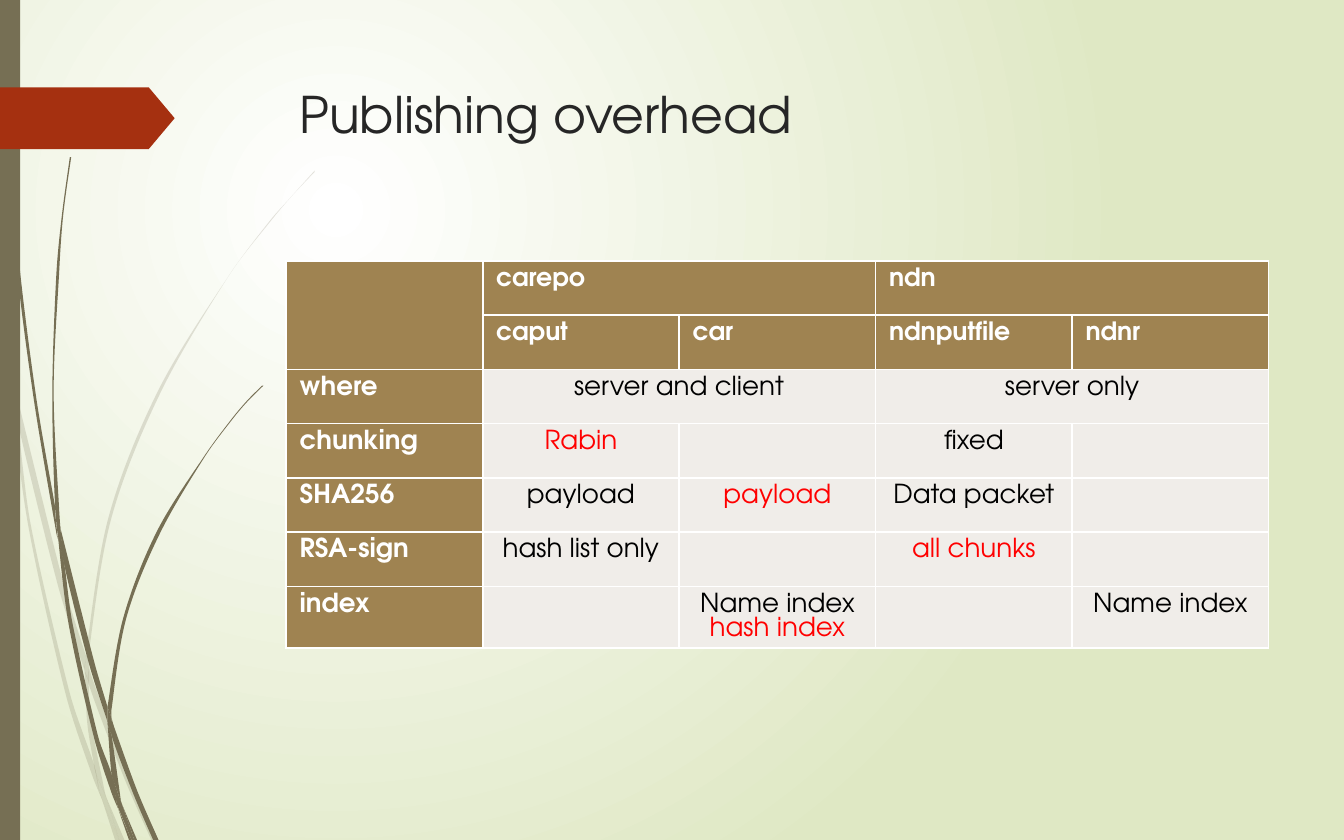
from lxml import etree
from pptx import Presentation
from pptx.dml.color import RGBColor
from pptx.enum.shapes import MSO_SHAPE
from pptx.enum.text import MSO_ANCHOR, PP_ALIGN
from pptx.oxml.ns import qn
from pptx.util import Inches, Pt

RECTANGLE = MSO_SHAPE.RECTANGLE
PENTAGON = MSO_SHAPE.PENTAGON
TOP = MSO_ANCHOR.TOP
LEFT, CENTER = PP_ALIGN.LEFT, PP_ALIGN.CENTER

FONT = "TeX Gyre Adventor"
OLIVE, RUST, TITLE_GREY = "766F54", "A53010", "262626"
HEADER_FILL, BODY_FILL = "9F8351", "F0EDE9"
WHITE, BLACK, RED = "FFFFFF", "000000", "FF0000"
PALE_GREEN = "DFE8C4"

PALE_BLADES = [
    ([(0.08, 2.92), (0.06, 2.68), (0, 2.35)], [(0, 2.49), (0.08, 2.87)]),
    ([(0.11, 2.88), (0.13, 3.13), (0.43, 4.35), (0.63, 4.99)],
     [(0.64, 4.88), (0.47, 4.33), (0.11, 2.88)]),
    ([(0.66, 4.96), (0.66, 5.09), (0.92, 5.78), (1.13, 6.26)],
     [(1.16, 6.26), (0.95, 5.76), (0.69, 5.06), (0.66, 4.96)]),
    ([(0.89, 6.26), (0.93, 6.26)], [(0.79, 5.93)]),
    ([(0.08, 2.92), (0.21, 3.91), (0.49, 5.17), (0.69, 5.78), (0.76, 5.95)],
     [(0.74, 5.89), (0.7, 5.69), (0.52, 5.16), (0.23, 3.91), (0.13, 3.13), (0.08, 2.92)]),
    ([(0.63, 4.99), (0.65, 5.38), (0.7, 5.69), (0.72, 5.77), (0.79, 5.93)],
     [(0.78, 5.89), (0.68, 5.38), (0.66, 5.09), (0.66, 5.07), (0.63, 4.99)]),
    ([(0.66, 4.96), (0.66, 4.86), (0.83, 3.85), (1.2, 2.91), (1.71, 2.04),
      (2.01, 1.65), (2.17, 1.46), (2.34, 1.28)],
     [(2.34, 1.27), (2.17, 1.46), (2.01, 1.64), (1.71, 2.04), (1.18, 2.9),
      (0.81, 3.84), (0.64, 4.86), (0.64, 4.88)]),
    ([(0.76, 5.95), (0.86, 6.26)], [(0.89, 6.26)]),
    ([(0.66, 5.09), (0.66, 4.96)], [(0.64, 4.88), (0.63, 4.99), (0.66, 5.07)]),
    ([(0.7, 5.69), (0.74, 5.89), (0.76, 5.95), (0.89, 6.26)],
     [(0.79, 5.93), (0.72, 5.77), (0.7, 5.69)]),
]
DARK_BLADES = [
    ([(0.03, 0), (0.02, 0)],
     [(0.03, 0.4), (0.05, 0.91), (0.12, 1.94), (0.25, 2.96), (0.42, 3.97), (0.43, 4.01)],
     [(0.41, 3.81), (0.41, 3.77), (0.27, 2.96), (0.14, 1.93), (0.06, 0.91),
      (0.03, 0.4), (0.03, 0)]),
    ([(0.45, 3.93), (0.48, 4.21), (0.66, 4.93), (0.8, 5.37)],
     [(0.8, 5.28), (0.8, 5.26), (0.7, 4.92), (0.45, 3.93)]),
    ([(0.83, 5.34), (0.83, 5.47), (0.99, 5.9), (1.14, 6.25)],
     [(1.18, 6.25), (1.02, 5.88), (0.85, 5.41), (0.83, 5.34)]),
    ([(0.43, 3.98), (0.51, 4.64), (0.7, 5.49), (0.83, 5.9), (0.88, 6.02)],
     [(0.87, 5.98), (0.83, 5.76), (0.73, 5.48), (0.54, 4.64), (0.48, 4.21), (0.43, 3.98)]),
    ([(0.45, 3.93), (0.44, 3.78), (0.4, 2.91), (0.44, 2.04), (0.47, 1.61), (0.53, 1.17)],
     [(0.52, 1.17), (0.46, 1.61), (0.42, 2.04), (0.39, 2.91), (0.41, 3.74), (0.45, 3.93)]),
    ([(1, 6.25), (1.02, 6.25)], [(0.91, 5.99)]),
    ([(0.41, 3.74), (0.41, 3.78), (0.43, 3.98), (0.48, 4.21)],
     [(0.45, 3.94), (0.45, 3.93), (0.41, 3.74)]),
    ([(0.83, 5.34), (0.83, 5.28), (0.94, 4.6), (1.19, 3.97), (1.53, 3.39),
      (1.73, 3.12), (1.84, 2.99), (1.96, 2.87)],
     [(1.95, 2.87), (1.84, 2.98), (1.73, 3.11), (1.53, 3.38), (1.17, 3.95),
      (0.92, 4.59), (0.8, 5.26)]),
    ([(0.88, 6.02), (0.96, 6.25)], [(0.98, 6.25)]),
    ([(0.8, 5.37), (0.83, 5.76), (0.87, 5.88), (0.91, 5.99)],
     [(0.9, 5.96), (0.83, 5.47), (0.81, 5.42), (0.8, 5.37)]),
    ([(0.83, 5.47), (0.83, 5.34)], [(0.8, 5.26), (0.8, 5.37), (0.81, 5.42)]),
    ([(0.83, 5.76), (0.87, 5.98), (0.88, 6.01), (0.98, 6.25)],
     [(1, 6.25), (0.91, 5.99), (0.87, 5.88), (0.83, 5.76)]),
]

HEADER_ROWS = [["", "carepo", "", "ndn", ""],
               ["", "caput", "car", "ndnputfile", "ndnr"]]
BODY_ROWS = [
    ["where", "server and client", "", "server only", ""],
    ["chunking", "Rabin", "", "fixed", ""],
    ["SHA256", "payload", "payload", "Data packet", ""],
    ["RSA-sign", "hash list only", "", "all chunks", ""],
    ["index", "", "Name index\nhash index", "", "Name index"],
]
MERGES = [((0, 0), (1, 0)), ((0, 1), (0, 2)), ((0, 3), (0, 4)),
          ((2, 1), (2, 2)), ((2, 3), (2, 4))]
RED_LINES = {(3, 1, 0), (4, 2, 0), (5, 3, 0), (6, 2, 1)}


def color(value):
    return RGBColor.from_string(value)


def paint(shape, value):
    shape.shadow.inherit = False
    shape.fill.solid()
    shape.fill.fore_color.rgb = color(value)
    shape.line.fill.background()


def style_text(paragraph, size, value, bold=False):
    for run in paragraph.runs:
        run.font.name = FONT
        run.font.size = Pt(size)
        run.font.bold = bold
        run.font.color.rgb = color(value)


def curve_points(edge):
    padded = [edge[0], *edge, edge[-1]]
    points = []
    for before, start, end, after in zip(padded, padded[1:], padded[2:], padded[3:]):
        reach = min(1, abs(end[1] - start[1]) / (abs(end[1] - before[1]) or 1) * 2)
        back = min(1, abs(end[1] - start[1]) / (abs(after[1] - start[1]) or 1) * 2)
        points += [[s + (e - b) * reach / 6 for b, s, e in zip(before, start, end)],
                   [e - (a - s) * back / 6 for s, e, a in zip(start, end, after)], end]
    return points


def add_blade(slide, left, top, edges, opacity):
    start = edges[0][0]
    points = curve_points(edges[0])
    for previous, edge in zip(edges, edges[1:]):
        points += curve_points([previous[-1], edge[0]]) + curve_points(edge)
    outline = [(left + Inches(x), top + Inches(y)) for x, y in [start, *points]]
    builder = slide.shapes.build_freeform(*outline[0], scale=1.0)
    builder.add_line_segments(outline[1:], close=True)
    blade = builder.convert_to_shape()
    segments = blade.element.findall(".//" + qn("a:lnTo"))
    for first, second, third in zip(segments[::3], segments[1::3], segments[2::3]):
        curve = etree.Element(qn("a:cubicBezTo"))
        first.addprevious(curve)
        for segment in (first, second, third):
            curve.append(segment[0])
            segment.getparent().remove(segment)
    paint(blade, OLIVE)
    if opacity < 100:
        tint = blade.element.spPr.find(".//" + qn("a:srgbClr"))
        etree.SubElement(tint, qn("a:alpha"), val=str(opacity * 1000))


def add_background(slide):
    fill = slide.background.fill
    fill.gradient()
    for stop, value in zip(fill.gradient_stops, (WHITE, PALE_GREEN)):
        stop.color.rgb = color(value)
    gradient = slide.element.find(".//" + qn("a:gradFill"))
    gradient.remove(gradient.find(qn("a:lin")))
    glow = etree.SubElement(gradient, qn("a:path"), {"path": "circle"})
    etree.SubElement(glow, qn("a:fillToRect"),
                     l="50000", t="50000", r="100000", b="100000")


def add_side_decoration(slide, left, top, height):
    for blades, opacity in ((PALE_BLADES, 20), (DARK_BLADES, 100)):
        for edges in blades:
            add_blade(slide, left, top, edges, opacity)
    bar = slide.shapes.add_shape(RECTANGLE, left, top, Inches(0.15), height)
    paint(bar, OLIVE)
    marker = slide.shapes.add_shape(
        PENTAGON, left, top + Inches(0.65), Inches(1.3), Inches(0.46))
    marker.adjustments[0] = 0.42
    paint(marker, RUST)


def add_title(slide, left, top, width, height):
    frame = slide.shapes.add_textbox(left, top, width, height).text_frame
    frame.word_wrap = True
    frame.vertical_anchor = TOP
    frame.text = "Publishing overhead"
    style_text(frame.paragraphs[0], 27, TITLE_GREY)


def add_borders(cell):
    properties = cell._tc.get_or_add_tcPr()
    for position, side in enumerate(("a:lnL", "a:lnR", "a:lnT", "a:lnB")):
        line = etree.Element(qn(side), w=str(Pt(1)))
        solid = etree.SubElement(line, qn("a:solidFill"))
        etree.SubElement(solid, qn("a:srgbClr"), val=WHITE)
        properties.insert(position, line)


def add_overhead_table(slide, left, top, width, height):
    rows = HEADER_ROWS + BODY_ROWS
    columns = len(rows[0])
    table = slide.shapes.add_table(len(rows), columns, left, top, width, height).table
    for r, row in enumerate(rows):
        for c, text in enumerate(row):
            cell = table.cell(r, c)
            is_header = r < len(HEADER_ROWS) or c == 0
            cell.fill.solid()
            cell.fill.fore_color.rgb = color(HEADER_FILL if is_header else BODY_FILL)
            add_borders(cell)
            cell.text_frame.text = text
            for n, paragraph in enumerate(cell.text_frame.paragraphs):
                paragraph.alignment = LEFT if is_header else CENTER
                paragraph.line_spacing = Pt(12.8)
                ink = WHITE if is_header else RED if (r, c, n) in RED_LINES else BLACK
                size = 13.5 if r < len(HEADER_ROWS) else 14
                style_text(paragraph, size, ink, is_header)
    for first, last in MERGES:
        table.cell(*first).merge(table.cell(*last))


presentation = Presentation()
presentation.slide_width = Inches(10)
presentation.slide_height = Inches(6.25)
slide = presentation.slides.add_slide(presentation.slide_layouts[6])
add_background(slide)
add_side_decoration(slide, 0, 0, presentation.slide_height)
add_title(slide, Inches(2.13), Inches(0.57), Inches(7.31), Inches(1.17))
add_overhead_table(slide, Inches(2.13), Inches(1.94), Inches(7.31), Inches(2.83))
presentation.save("out.pptx")
